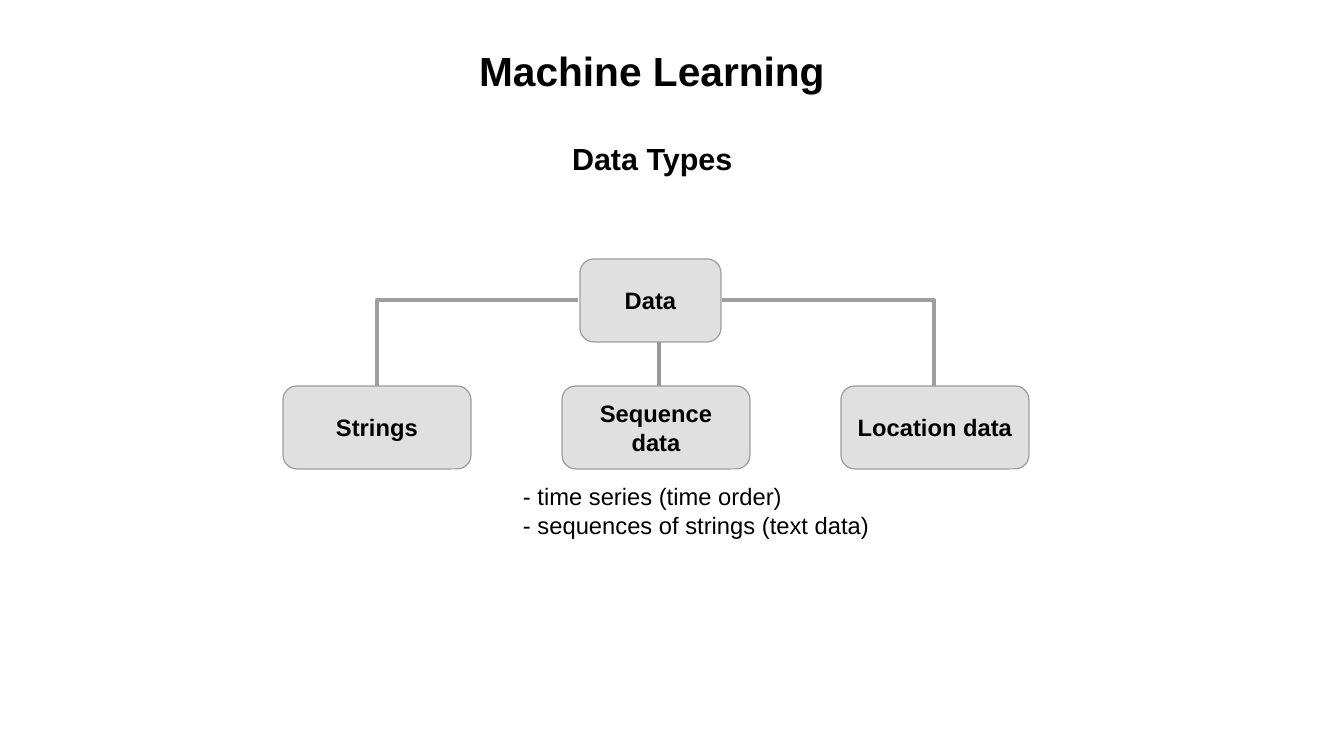
from lxml import etree
from pptx import Presentation
from pptx.dml.color import RGBColor
from pptx.enum.shapes import MSO_CONNECTOR, MSO_SHAPE
from pptx.enum.text import MSO_ANCHOR, MSO_AUTO_SIZE, PP_ALIGN
from pptx.oxml.ns import qn
from pptx.util import Emu, Pt

EMU_PER_PX = 7495
BLACK = RGBColor(0x00, 0x00, 0x00)
BOX_FILL = RGBColor(0xE0, 0xE0, 0xE0)
BOX_LINE = RGBColor(0x9E, 0x9E, 0x9E)
STEM_LINE = RGBColor(0x99, 0x99, 0x99)

ROUNDED = MSO_SHAPE.ROUNDED_RECTANGLE
STRAIGHT = MSO_CONNECTOR.STRAIGHT
ELBOW = MSO_CONNECTOR.ELBOW
TOP = MSO_ANCHOR.TOP
MIDDLE = MSO_ANCHOR.MIDDLE
LEFT = PP_ALIGN.LEFT
CENTER = PP_ALIGN.CENTER
NO_AUTOFIT = MSO_AUTO_SIZE.NONE

TITLE_ONLY = 5
BOX_HEIGHT = 83
CHILD_LEFT, CHILD_TOP, CHILD_WIDTH, CHILD_STEP = 283, 386, 188, 279
CHILDREN = ["Strings", "Sequence data", "Location data"]
NOTES = ["- time series (time order)", "- sequences of strings (text data)"]


def px(value):
    return Emu(value * EMU_PER_PX)


def apply_format(target, values):
    for name, value in values.items():
        setattr(target, name, value)


def write_text(shape, lines, size, bold=True, align=LEFT, anchor=TOP, margin=6, spacing=1.0):
    frame = shape.text_frame
    apply_format(frame, {
        "word_wrap": True, "auto_size": NO_AUTOFIT, "vertical_anchor": anchor,
        "margin_left": px(12), "margin_right": px(12),
        "margin_top": px(margin), "margin_bottom": px(margin),
    })
    frame.text = "\n".join(lines)
    for paragraph in frame.paragraphs:
        apply_format(paragraph, {"alignment": align, "line_spacing": spacing})
        font = paragraph.runs[0].font
        apply_format(font, {"name": "Arial", "size": Pt(size), "bold": bold})
        font.color.rgb = BLACK


def set_title(slide, text, left, top, width, height):
    title = slide.shapes.title
    apply_format(title, {
        "left": px(left), "top": px(top), "width": px(width), "height": px(height),
    })
    write_text(title, [text], 24)


def add_text(slide, lines, left, top, width, height, size, **options):
    shape = slide.shapes.add_textbox(px(left), px(top), px(width), px(height))
    write_text(shape, lines, size, **options)


def add_box(slide, text, left, top, width):
    shape = slide.shapes.add_shape(ROUNDED, px(left), px(top), px(width), px(BOX_HEIGHT))
    shape.shadow.inherit = False
    shape.fill.solid()
    shape.fill.fore_color.rgb = BOX_FILL
    shape.line.color.rgb = BOX_LINE
    shape.line.width = Pt(0.75)
    write_text(shape, [text], 14, align=CENTER, anchor=MIDDLE, margin=12)


def add_link(slide, kind, start, end, color, width):
    connector = slide.shapes.add_connector(kind, *map(px, start + end))
    connector.line.color.rgb = color
    connector.line.width = Pt(width)
    properties = connector._element.spPr
    if kind == ELBOW:
        properties.find(qn("a:prstGeom")).set("prst", "bentConnector2")
    etree.SubElement(properties, qn("a:effectLst"))


def main():
    presentation = Presentation()
    presentation.slide_width = px(1344)
    presentation.slide_height = px(756)
    slide = presentation.slides.add_slide(presentation.slide_layouts[TITLE_ONLY])

    set_title(slide, "Machine Learning", 467, 40, 377, 60)
    add_text(slide, ["Data Types"], 560, 116, 189, 72, 18, spacing=1.5)

    add_box(slide, "Data", 580, 259, 141)
    for index, label in enumerate(CHILDREN):
        add_box(slide, label, CHILD_LEFT + index * CHILD_STEP, CHILD_TOP, CHILD_WIDTH)

    add_link(slide, ELBOW, (578, 300), (377, CHILD_TOP), BOX_LINE, 2.25)
    add_link(slide, ELBOW, (722, 300), (934, CHILD_TOP), BOX_LINE, 2.25)
    add_text(slide, NOTES, 511, 476, 378, 118, 14, bold=False)
    add_link(slide, STRAIGHT, (659, 342), (659, CHILD_TOP), STEM_LINE, 2.3)

    presentation.save("out.pptx")


if __name__ == "__main__":
    main()
